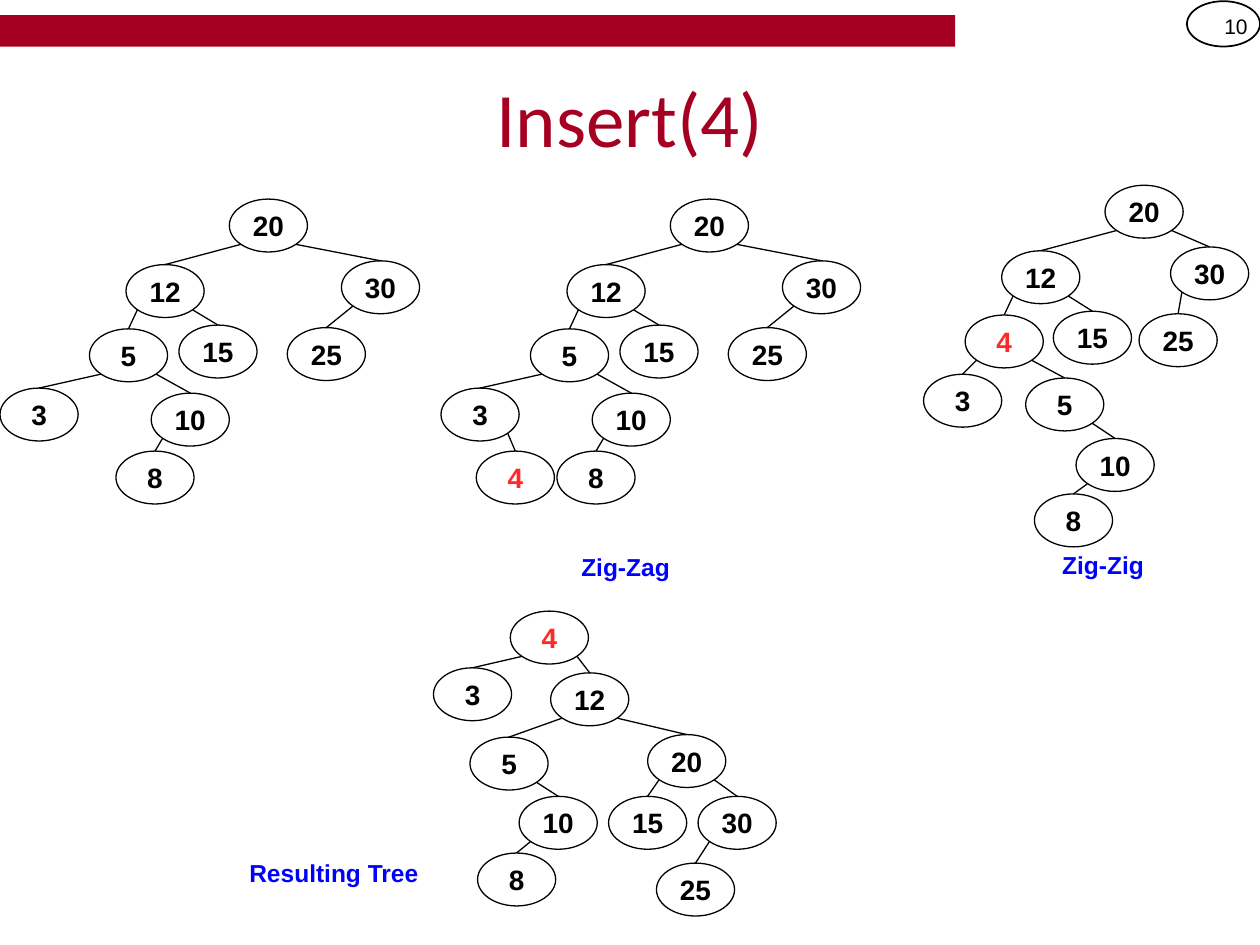
from typing import NamedTuple, Optional

from pptx import Presentation
from pptx.dml.color import RGBColor
from pptx.enum.shapes import MSO_CONNECTOR, MSO_SHAPE
from pptx.enum.text import MSO_ANCHOR, MSO_AUTO_SIZE, PP_ALIGN
from pptx.oxml.ns import qn
from pptx.util import Inches, Pt

OVAL, RECT = MSO_SHAPE.OVAL, MSO_SHAPE.RECTANGLE
LINE = MSO_CONNECTOR.STRAIGHT
MIDDLE, TOP = MSO_ANCHOR.MIDDLE, MSO_ANCHOR.TOP
LEFT, CENTER, RIGHT = PP_ALIGN.LEFT, PP_ALIGN.CENTER, PP_ALIGN.RIGHT
GROW = MSO_AUTO_SIZE.SHAPE_TO_FIT_TEXT

BLACK = RGBColor(0x00, 0x00, 0x00)
CRIMSON = RGBColor(0xA5, 0x00, 0x21)
RED = RGBColor(0xFF, 0x29, 0x29)
BLUE = RGBColor(0x00, 0x00, 0xFF)

WIDE, HIGH = 0.62, 0.42  # node size
SIDE, DROP = 0.09, 0.36  # where edges leave a node
NEW = 4  # the inserted key


class Node(NamedTuple):
    key: int
    x: float
    y: float
    parent: Optional[int] = None


class Label(NamedTuple):
    text: str
    x: float
    y: float
    align: PP_ALIGN = CENTER


class Tree(NamedTuple):
    nodes: list[Node]
    label: Optional[Label] = None


# Trees: before the insert, after it, and after each rotation
START = [
    Node(20, 1.82, 1.58), Node(30, 2.71, 2.07, 20), Node(12, 1, 2.1, 20),
    Node(15, 1.42, 2.58, 12), Node(25, 2.28, 2.6, 30), Node(5, 0.71, 2.61, 12),
    Node(3, 0, 3.08, 5), Node(10, 1.2, 3.12, 5), Node(8, 0.92, 3.58, 10),
]
ADDED = [n._replace(x=n.x + 3.5) for n in START] + [Node(NEW, 3.78, 3.58, 3)]
TURNED = [
    Node(20, 8.77, 1.47), Node(30, 9.29, 1.96, 20), Node(12, 7.95, 1.99, 20),
    Node(15, 8.36, 2.47, 12), Node(25, 9.04, 2.49, 30), Node(NEW, 7.66, 2.5, 12),
    Node(3, 7.33, 2.97, NEW), Node(5, 8.14, 3, NEW), Node(10, 8.54, 3.48, 5),
    Node(8, 8.21, 3.92, 10),
]
RESULT = [
    Node(NEW, 4.05, 4.85), Node(3, 3.44, 5.3, NEW), Node(12, 4.37, 5.34, NEW),
    Node(20, 5.14, 5.83, 12), Node(5, 3.73, 5.85, 12), Node(15, 4.83, 6.32, 20),
    Node(30, 5.54, 6.32, 20), Node(10, 4.12, 6.32, 5), Node(8, 3.79, 6.77, 10),
    Node(25, 5.21, 6.85, 30),
]
TREES = [
    Tree(START),
    Tree(ADDED, Label("Zig-Zag", 4.12, 4.33)),
    Tree(TURNED, Label("Zig-Zig", 7.91, 4.32)),
    Tree(RESULT, Label("Resulting Tree", 1.88, 6.76, LEFT)),
]


def write(shape, text: str, size: float, color: RGBColor, align=CENTER,
          anchor=MIDDLE, font: str = "Arial", bold: bool = False) -> None:
    frame = shape.text_frame
    frame.word_wrap = True
    frame.vertical_anchor = anchor
    para = frame.paragraphs[0]
    para.alignment = align
    run = para.add_run()
    run.text = text
    run.font.size, run.font.name, run.font.bold = Pt(size), font, bold
    run.font.color.rgb = color


def add_box(shapes, x: float, y: float, w: float, h: float):
    return shapes.add_textbox(Inches(x), Inches(y), Inches(w), Inches(h))


def add_oval(shapes, x: float, y: float, w: float, h: float, weight: float):
    oval = shapes.add_shape(OVAL, Inches(x), Inches(y), Inches(w), Inches(h))
    oval.shadow.inherit = False
    oval.fill.background()
    oval.line.color.rgb = BLACK
    oval.line.width = Pt(weight)
    return oval


def add_node(shapes, node: Node) -> None:
    oval = add_oval(shapes, node.x, node.y, WIDE, HIGH, 0.75)
    oval.text_frame.margin_left = oval.text_frame.margin_right = 0
    write(oval, str(node.key), 16, RED if node.key == NEW else BLACK, bold=True)


def add_edge(shapes, top: Node, low: Node) -> None:
    start = top.x + (SIDE if low.x < top.x else WIDE - SIDE)
    edge = shapes.add_connector(LINE, Inches(start), Inches(top.y + DROP),
                                Inches(low.x + WIDE / 2), Inches(low.y))
    edge.line.color.rgb = BLACK
    edge.line.width = Pt(0.75)
    props = edge._element.spPr
    props.append(props.makeelement(qn("a:effectLst"), {}))


def add_label(shapes, label: Label) -> None:
    box = add_box(shapes, label.x, label.y, 1.69, 0.34)
    write(box, label.text, 14, BLUE, label.align, TOP, bold=True)
    box.text_frame.auto_size = GROW


def add_tree(shapes, tree: Tree) -> None:
    if tree.label:
        shapes = shapes.add_group_shape().shapes
        add_label(shapes, tree.label)
    found = {node.key: node for node in tree.nodes}
    for node in tree.nodes:
        add_node(shapes, node)
        if node.parent is not None:
            add_edge(shapes, found[node.parent], node)


def main() -> None:
    deck = Presentation()
    deck.slide_width, deck.slide_height = Inches(10), Inches(7.5)
    shapes = deck.slides.add_slide(deck.slide_layouts[6]).shapes

    # Header bar and page number
    bar = shapes.add_shape(RECT, 0, Inches(0.12), Inches(7.58), Inches(0.25))
    bar.shadow.inherit = False
    bar.fill.solid()
    bar.fill.fore_color.rgb = CRIMSON
    bar.line.fill.background()
    add_oval(shapes, 9.42, 0.01, 0.58, 0.36, 1)
    write(add_box(shapes, 9.42, 0.01, 0.58, 0.4), "10", 12, BLACK, RIGHT)

    # Title
    title = add_box(shapes, 0.5, 0.3, 9, 1.25)
    write(title, "Insert(4)", 44, CRIMSON, font="Calibri")

    # Trees
    for tree in TREES:
        add_tree(shapes, tree)

    deck.save("out.pptx")


if __name__ == "__main__":
    main()
